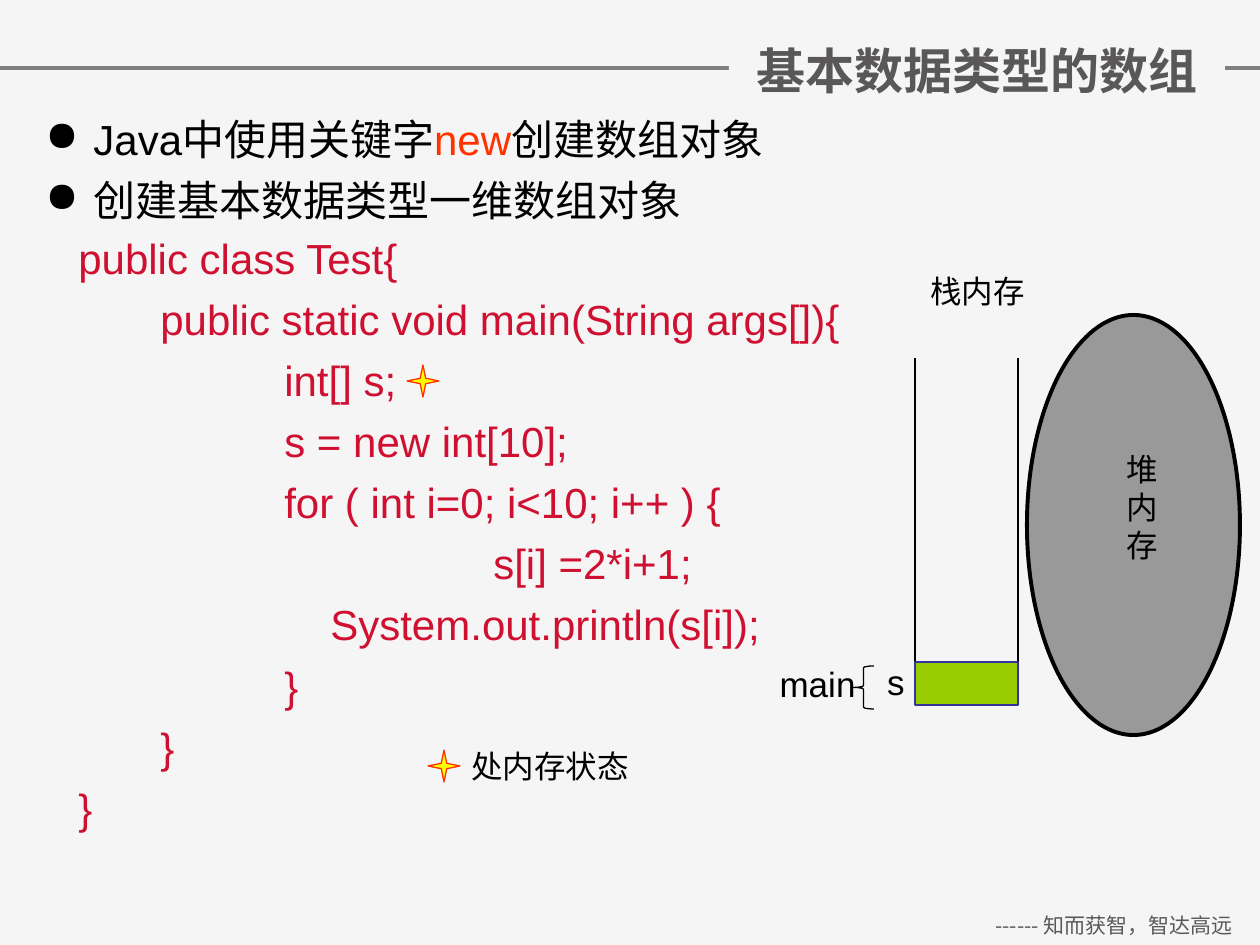
from lxml import etree
from pptx import Presentation
from pptx.dml.color import RGBColor
from pptx.enum.shapes import MSO_CONNECTOR as Link, MSO_SHAPE as Preset
from pptx.enum.text import MSO_ANCHOR as Anchor, PP_ALIGN as Align
from pptx.oxml.ns import qn
from pptx.util import Emu, Pt

PX = 914400 // 126
CJK = "Noto Sans CJK SC"
BLACK, CODE, ORANGE, PAPER = "000000", "CF1031", "FF3300", "F5F5F5"


def px(*lengths):
    return [Emu(length * PX) for length in lengths]


def color(code):
    return RGBColor.from_string(code)


def add_span(para, text, size, ink, font, bold):
    span = para.add_run()
    span.text = text
    span.font.size = Pt(size)
    span.font.bold = bold
    span.font.name = font
    span.font.color.rgb = color(ink)
    etree.SubElement(span.font._element, qn("a:ea")).set("typeface", CJK)


def add_text(page, box, paras, size=18, ink=BLACK, font="Arial", bold=False,
             align=Align.LEFT, anchor=Anchor.TOP, inset=6, before=0,
             line=None, indents=None, bullet=None, fill=None):
    """Each paragraph is a string or a list of (text, colour) pairs."""
    shape = page.shapes.add_textbox(*px(*box))
    if fill:
        shape.fill.solid()
        shape.fill.fore_color.rgb = color(fill)
    frame = shape.text_frame
    frame.word_wrap = True
    frame.vertical_anchor = anchor
    frame.margin_top, frame.margin_bottom = px(inset, inset)
    for index, content in enumerate(paras):
        para = frame.paragraphs[0] if index == 0 else frame.add_paragraph()
        para.alignment = align
        para.space_before = Pt(before)
        if line:
            para.line_spacing = Pt(line)
        props = para._p.get_or_add_pPr()
        if indents:
            props.set("marL", str(indents[index] * PX))
        if bullet:
            props.set("indent", str(-indents[index] * PX))
            etree.SubElement(props, qn("a:buChar")).set("char", bullet)
        spans = [(content, ink)] if isinstance(content, str) else content
        for text, shade in spans:
            add_span(para, text, size, shade, font, bold)
    return shape


def add_shape(page, preset, box, fill, stroke, width):
    shape = page.shapes.add_shape(preset, *px(*box))
    shape.shadow.inherit = False
    if fill:
        shape.fill.solid()
        shape.fill.fore_color.rgb = color(fill)
    else:
        shape.fill.background()
    shape.line.color.rgb = color(stroke)
    shape.line.width = Pt(width)
    return shape


def add_line(page, start, end, stroke, width):
    line = page.shapes.add_connector(Link.STRAIGHT, *px(*start, *end))
    line.line.color.rgb = color(stroke)
    line.line.width = Pt(width)
    etree.SubElement(line._element.spPr, qn("a:effectLst"))


def add_star(page, left, top):
    star = add_shape(page, Preset.STAR_4_POINT, (left, top, 32, 32),
                     "FFFF00", ORANGE, 0.75)
    star.adjustments[0] = 0.12


def add_frame(page, width):
    # Header rule, title and footer motto
    add_line(page, (0, 68), (width, 68), "7F7F7F", 2)
    add_text(page, (990 - 22, 907, 292, 38), ["------ 知而获智，智达高远"],
             size=12, ink="595959", font=CJK, align=Align.CENTER)
    add_text(page, (729, 4, 496, 131), ["基本数据类型的数组"], size=28,
             ink="595758", font=CJK, bold=True, align=Align.CENTER,
             anchor=Anchor.MIDDLE, fill=PAPER)


def add_points(page, box):
    points = [
        [("Java中使用关键字", BLACK), ("new", ORANGE), ("创建数组对象", BLACK)],
        "创建基本数据类型一维数组对象",
    ]
    add_text(page, box, points, size=24, before=6, line=28.9,
             indents=[48, 48], bullet="●")


def add_code(page, box):
    # Each line of code with its indent
    code = [
        (46, "public class Test{"),
        (128, "public static void main(String args[]){"),
        (252, "int[] s;"),
        (252, "s = new int[10];"),
        (252, "for ( int i=0; i<10; i++ ) {"),
        (461, "s[i] =2*i+1;"),
        (298, "System.out.println(s[i]);"),
        (252, "}"),
        (128, "}"),
        (46, "}"),
    ]
    indents, lines = zip(*code)
    add_text(page, box, lines, size=24, ink=CODE, before=6, line=28.9,
             indents=indents)
    left, top = box[:2]
    add_star(page, left + 387, top + 139)


def add_stack(page, box):
    left, top, width, height = box
    bottom, cell = top + height, 43
    # Open-topped stack with one filled cell
    for x in (left, left + width):
        add_line(page, (x, top), (x, bottom), BLACK, 1.5)
    add_shape(page, Preset.RECTANGLE, (left, bottom - cell + 1, width, cell),
              "99CC00", "333399", 0.75)
    # Labels and the brace of the main frame
    add_shape(page, Preset.LEFT_BRACE, (left - 62, bottom - 38, 21, 43),
              None, BLACK, 0.75)
    add_text(page, (left - 173, bottom - 48, 126, 55), ["main"], size=20,
             align=Align.RIGHT)
    add_text(page, (left - 61, bottom - 44, 63, 42), ["s"], size=20,
             align=Align.RIGHT, inset=0)
    add_text(page, (left - 46, top - 92, 168, 50), ["栈内存"],
             align=Align.RIGHT)


def add_heap(page, box):
    left, top = box[:2]
    add_shape(page, Preset.OVAL, box, "999999", BLACK, 2.25)
    add_text(page, (left + 87, top + 129, 53, 126), ["堆内存"],
             align=Align.RIGHT)


def add_legend(page, box):
    left, top = box[:2]
    add_text(page, box, ["处内存状态"], align=Align.RIGHT, inset=0)
    add_star(page, left + 60, top + 3)


def main():
    deck = Presentation()
    deck.slide_width, deck.slide_height = px(1260, 945)
    page = deck.slides.add_slide(deck.slide_layouts[6])
    page.background.fill.solid()
    page.background.fill.fore_color.rgb = color(PAPER)
    add_frame(page, 1260)
    add_code(page, (20, 226, 925, 611))
    add_points(page, (33, 107, 942, 125))
    add_stack(page, (915, 358, 103, 346))
    add_heap(page, (1027, 315, 213, 420))
    add_legend(page, (368, 747, 273, 38))
    deck.save("out.pptx")


if __name__ == "__main__":
    main()
